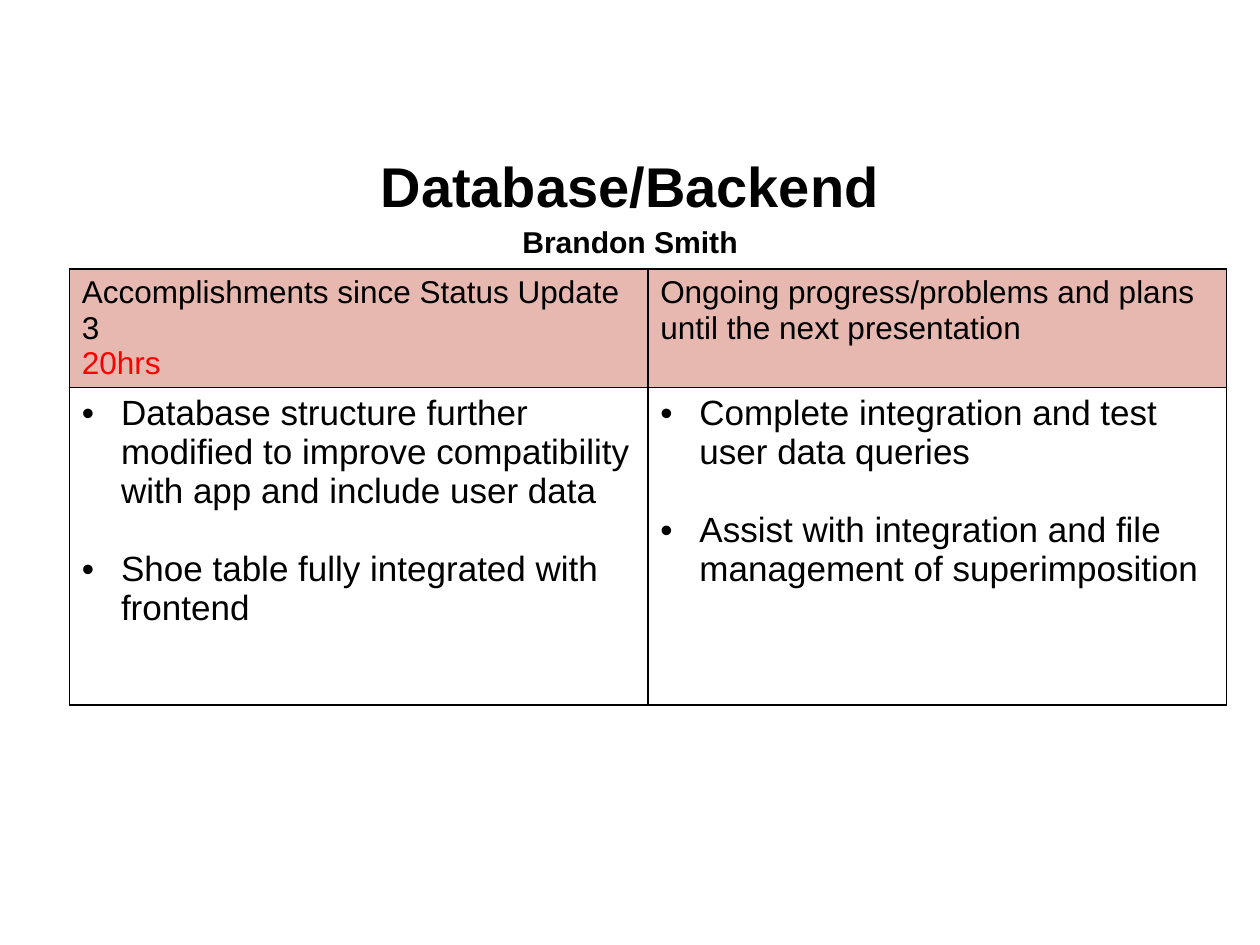
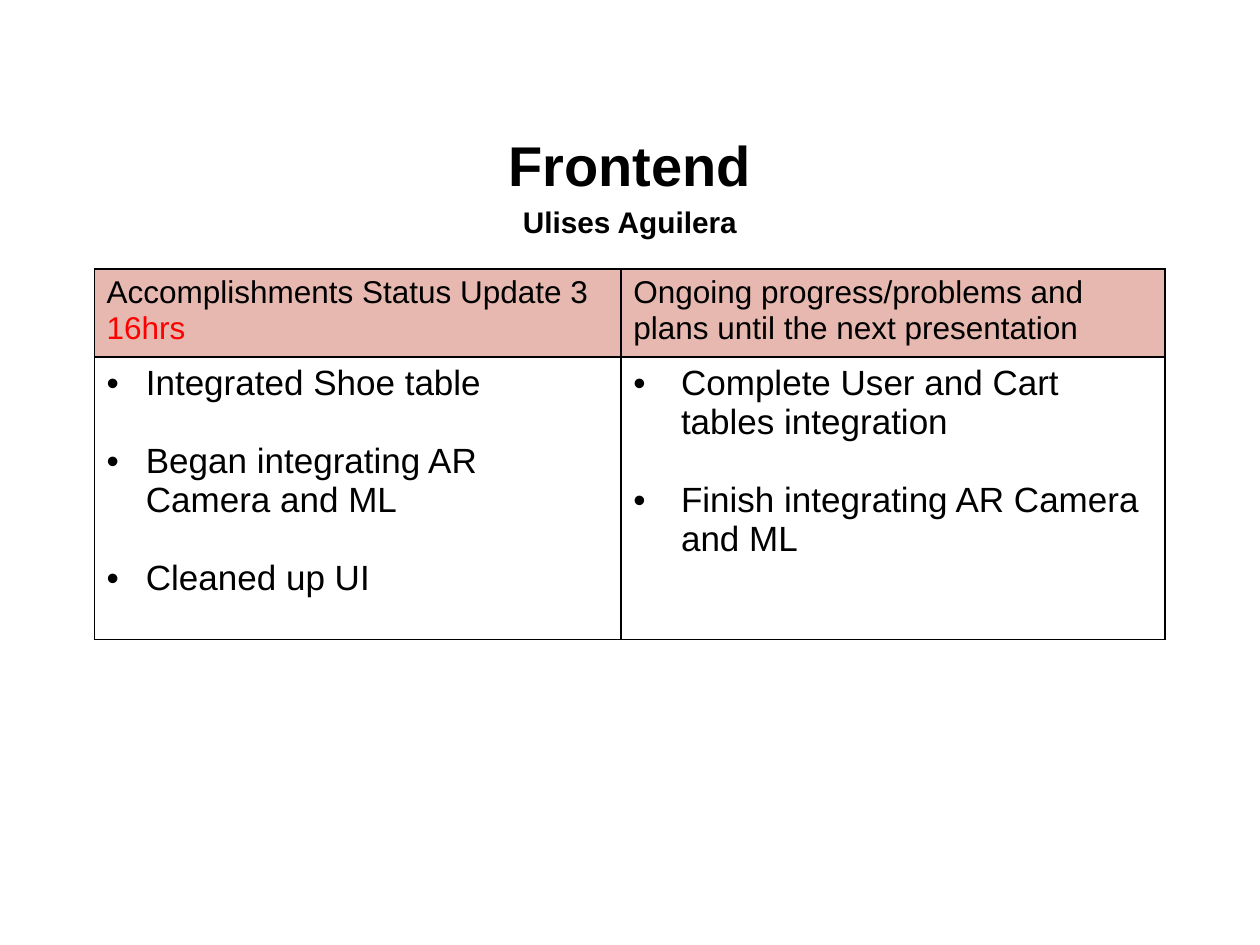
"""Build two status slides, each with a title and a two-column table."""
from dataclasses import dataclass

from lxml.etree import SubElement
from pptx import Presentation
from pptx.dml.color import RGBColor
from pptx.enum.text import MSO_ANCHOR, MSO_AUTO_SIZE, PP_ALIGN
from pptx.oxml.ns import qn
from pptx.slide import Slide
from pptx.table import _Cell
from pptx.text.text import TextFrame
from pptx.util import Cm, Pt

FONT = "Arial"
HUES = {"ink": "000000", "alert": "FF0000", "head": "E6B8AF"}
PLANS = "Ongoing progress/problems and plans until the next presentation"
GAP = 22.3


@dataclass
class Column:
    width: float
    head: str
    items: list[str]
    indent: float = 0.79
    hours: str = ""


@dataclass
class Status:
    title: str
    name: str
    size: float
    top: float
    left: float
    rows: tuple[float, float]
    cols: list[Column]


PAGES = [
    Status("Database/Backend", "Brandon Smith", 17.2, 2.92, 1.4, (2.39, 6.4), [
        Column(11.66, "Accomplishments since Status Update 3", [
            "Database structure further modified to improve compatibility "
            "with app and include user data",
            "Shoe table fully integrated with frontend",
        ], hours="20hrs"),
        Column(11.66, PLANS, [
            "Complete integration and test user data queries",
            "Assist with integration and file management of superimposition",
        ]),
    ]),
    Status("Frontend", "Ulises Aguilera", 17, 2.51, 1.9, (1.78, 5.69), [
        Column(10.62, "Accomplishments Status Update 3", [
            "Integrated Shoe table",
            "Began integrating AR Camera and ML",
            "Cleaned up UI",
        ], hours="16hrs"),
        Column(10.97, PLANS, [
            "Complete User and Cart tables integration",
            "Finish integrating AR Camera and ML",
        ], indent=0.96),
    ]),
]


def write(frame: TextFrame, text: str, *, size: float, hue: str = "ink",
          bold: bool = False, align: PP_ALIGN = PP_ALIGN.LEFT,
          line: float = 1.0, indent: float = 0, gap: float = 0) -> None:
    """Add one paragraph; an indent gives it a bullet."""
    first = frame.paragraphs[0]
    para = frame.add_paragraph() if first.runs else first
    if indent:
        props = para._p.get_or_add_pPr()
        props.set("marL", str(Cm(indent)))
        props.set("indent", str(-Cm(indent)))
        SubElement(props, qn("a:buFont"), typeface=FONT)
        SubElement(props, qn("a:buChar"), char="•")
    para.alignment = align
    para.line_spacing = line
    if gap and para is not first:
        para.space_before = Pt(gap)
    run = para.add_run()
    run.text = text
    run.font.name = FONT
    run.font.size = Pt(size)
    run.font.bold = bold
    run.font.color.rgb = RGBColor.from_string(HUES[hue])


def frame_cell(cell: _Cell) -> None:
    """Give a cell its borders and margins."""
    props = cell._tc.get_or_add_tcPr()
    for side in ("lnL", "lnR", "lnT", "lnB"):
        edge = SubElement(props, qn(f"a:{side}"), w=str(Pt(1)))
        fill = SubElement(edge, qn("a:solidFill"))
        SubElement(fill, qn("a:srgbClr"), val=HUES["ink"])
    cell.margin_left = cell.margin_right = Cm(0.25)
    cell.margin_top = cell.margin_bottom = Cm(0.13)


def add_title(slide: Slide, page: Status) -> None:
    """Draw the title with the name below it."""
    box = slide.shapes.add_textbox(Cm(1.27), Cm(page.top), Cm(22.86), Cm(2.24))
    frame = box.text_frame
    frame.word_wrap = True
    frame.auto_size = MSO_AUTO_SIZE.NONE
    frame.vertical_anchor = MSO_ANCHOR.MIDDLE
    for text, size in ((page.title, 32), (page.name, page.size)):
        write(frame, text, size=size, bold=True, align=PP_ALIGN.CENTER, line=1.15)


def add_grid(slide: Slide, page: Status) -> None:
    """Draw the table of work done and work planned."""
    width = sum(col.width for col in page.cols)
    grid = slide.shapes.add_table(2, len(page.cols), Cm(page.left), Cm(5.42),
                                  Cm(width), Cm(sum(page.rows))).table
    for row, height in zip(grid.rows, page.rows):
        row.height = Cm(height)
    for spot, col in enumerate(page.cols):
        grid.columns[spot].width = Cm(col.width)
        head, body = grid.cell(0, spot), grid.cell(1, spot)
        for cell in (head, body):
            frame_cell(cell)
        head.fill.solid()
        head.fill.fore_color.rgb = RGBColor.from_string(HUES["head"])
        body.fill.background()
        write(head.text_frame, col.head, size=18)
        if col.hours:
            write(head.text_frame, col.hours, size=18, hue="alert")
        for item in col.items:
            write(body.text_frame, item, size=20, indent=col.indent, gap=GAP)


def main() -> None:
    """Build and save the slides."""
    deck = Presentation()
    deck.slide_width, deck.slide_height = Cm(25.4), Cm(19.05)
    for page in PAGES:
        slide = deck.slides.add_slide(deck.slide_layouts[6])
        add_title(slide, page)
        add_grid(slide, page)
    deck.save("out.pptx")


if __name__ == "__main__":
    main()
